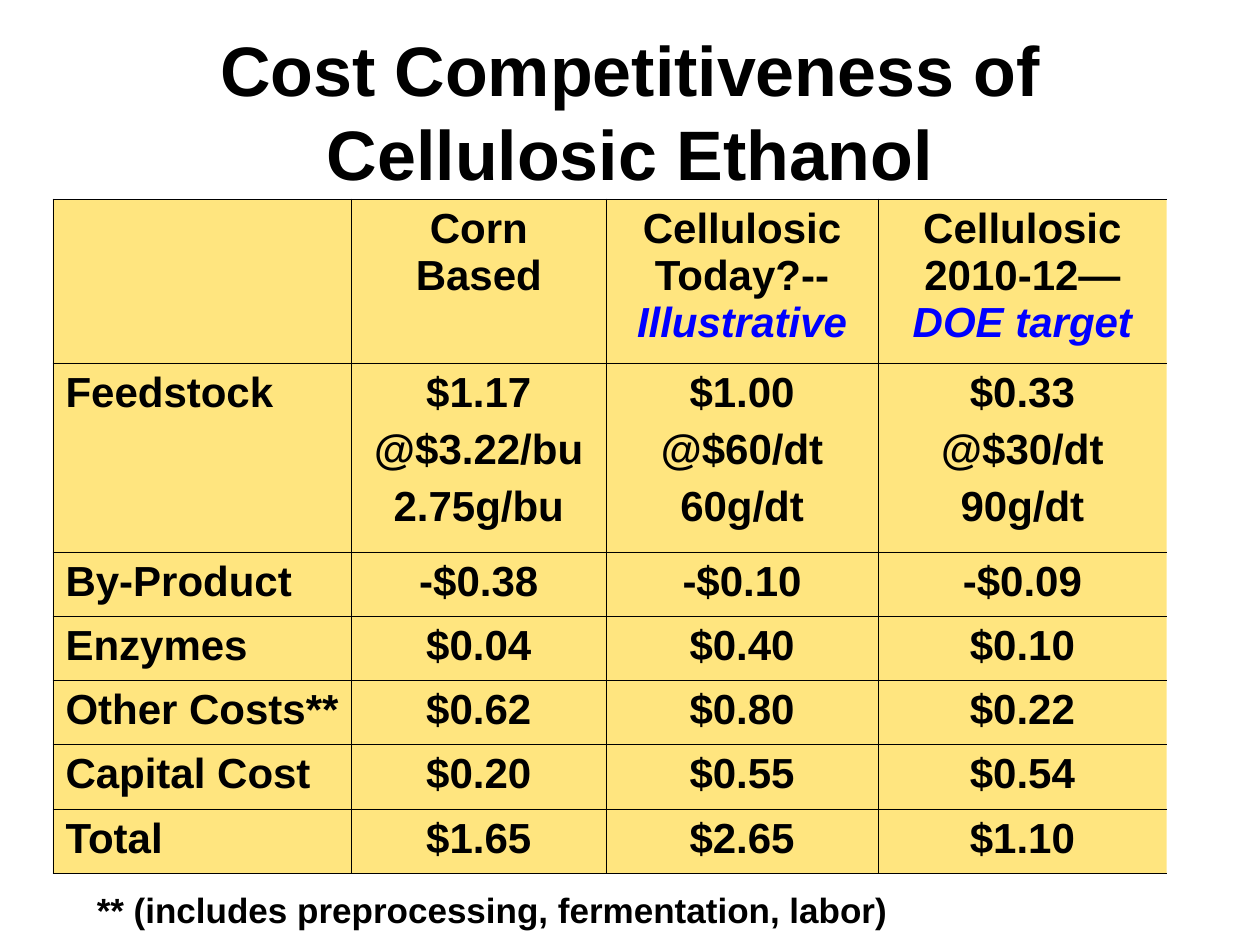
from lxml import etree
from pptx import Presentation
from pptx.dml.color import RGBColor
from pptx.enum.text import MSO_ANCHOR, PP_ALIGN
from pptx.oxml.ns import qn
from pptx.util import Inches, Pt

CENTER, LEFT = PP_ALIGN.CENTER, PP_ALIGN.LEFT
MIDDLE, TOP = MSO_ANCHOR.MIDDLE, MSO_ANCHOR.TOP
BLACK = RGBColor(0x00, 0x00, 0x00)
BLUE = RGBColor(0x00, 0x00, 0xFF)
GOLD = RGBColor(0xFF, 0xCC, 0x00)

COLS = [2.37, 2.02, 2.16, 2.29]
ROWS = [1.3, 1.5] + [0.51] * 5
HEADS = [("Corn Based", ""), ("Cellulosic Today?--", "Illustrative"),
         ("Cellulosic 2010-12— ", "DOE target")]
COSTS = [
    ("Feedstock", "$1.17\n@$3.22/bu\n2.75g/bu", "$1.00\n@$60/dt\n60g/dt",
     "$0.33\n@$30/dt\n90g/dt"),
    ("By-Product", "-$0.38", "-$0.10", "-$0.09"),
    ("Enzymes", "$0.04", "$0.40", "$0.10"),
    ("Other Costs**", "$0.62", "$0.80", "$0.22"),
    ("Capital Cost", "$0.20", "$0.55", "$0.54"),
    ("Total", "$1.65", "$2.65", "$1.10"),
]


def style(frame, size, align):
    for i, para in enumerate(frame.paragraphs):
        para.alignment = align
        para.space_before = Pt(6 if i else 0)
        for run in para.runs:
            font = run.font
            font.name, font.size, font.bold = "Arial", Pt(size), True
            font.color.rgb = BLACK


def add_text(slide, box, text, size, align, anchor):
    frame = slide.shapes.add_textbox(*map(Inches, box)).text_frame
    frame.word_wrap = True
    frame.vertical_anchor = anchor
    frame.text = text
    style(frame, size, align)


def paint(cell, last):
    """Half-clear gold fill and thin black borders, open on the table's right."""
    cell.fill.solid()
    cell.fill.fore_color.rgb = GOLD
    props = cell._tc.get_or_add_tcPr()
    color = props.find(qn("a:solidFill")).find(qn("a:srgbClr"))
    etree.SubElement(color, qn("a:alpha"), val="50000")
    for i, side in enumerate(("lnL", "lnR", "lnT", "lnB")):
        line = etree.Element(qn("a:" + side), w=str(Pt(0.45)))
        if side == "lnR" and last:
            etree.SubElement(line, qn("a:noFill"))
        else:
            fill = etree.SubElement(line, qn("a:solidFill"))
            etree.SubElement(fill, qn("a:srgbClr"), val=str(BLACK))
        props.insert(i, line)


def add_costs(slide, left, top):
    box = map(Inches, (left, top, sum(COLS), sum(ROWS)))
    table = slide.shapes.add_table(len(ROWS), len(COLS), *box).table
    table.first_row = table.horz_banding = False
    for col, width in zip(table.columns, COLS):
        col.width = Inches(width)
    for row, height in zip(table.rows, ROWS):
        row.height = Inches(height)

    # Fill and borders
    for r in range(len(ROWS)):
        for c in range(len(COLS)):
            paint(table.cell(r, c), c == len(COLS) - 1)

    # Column heads, each with an optional blue note
    for c, (head, note) in enumerate(HEADS, 1):
        frame = table.cell(0, c).text_frame
        frame.text = head
        if note:
            run = frame.paragraphs[0].add_run()
            run.text = note
        style(frame, 24, CENTER)
        if note:
            run.font.italic = True
            run.font.color.rgb = BLUE

    # Cost rows
    for r, row in enumerate(COSTS, 1):
        for c, text in enumerate(row):
            frame = table.cell(r, c).text_frame
            frame.text = text
            style(frame, 24, CENTER if c else LEFT)


def main():
    deck = Presentation()
    deck.slide_width, deck.slide_height = Inches(10), Inches(7.5)
    slide = deck.slides.add_slide(deck.slide_layouts[6])
    add_text(slide, (0.5, 0.25, 9, 1.25),
             "Cost Competitiveness of Cellulosic Ethanol", 40, CENTER, MIDDLE)
    add_costs(slide, 0.42, 1.58)
    add_text(slide, (0.67, 7, 6.5, 0.77),
             "** (includes preprocessing, fermentation, labor)", 20, LEFT, TOP)
    deck.save("out.pptx")


if __name__ == "__main__":
    main()
